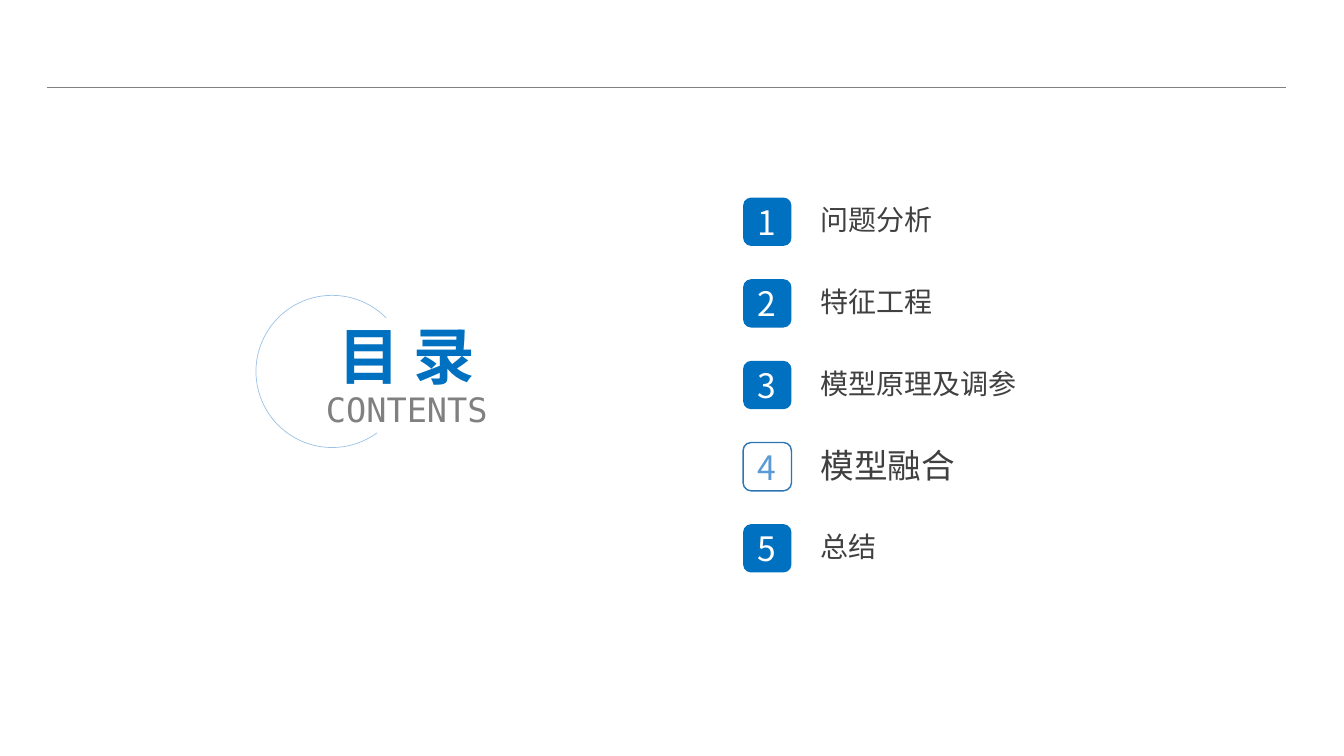
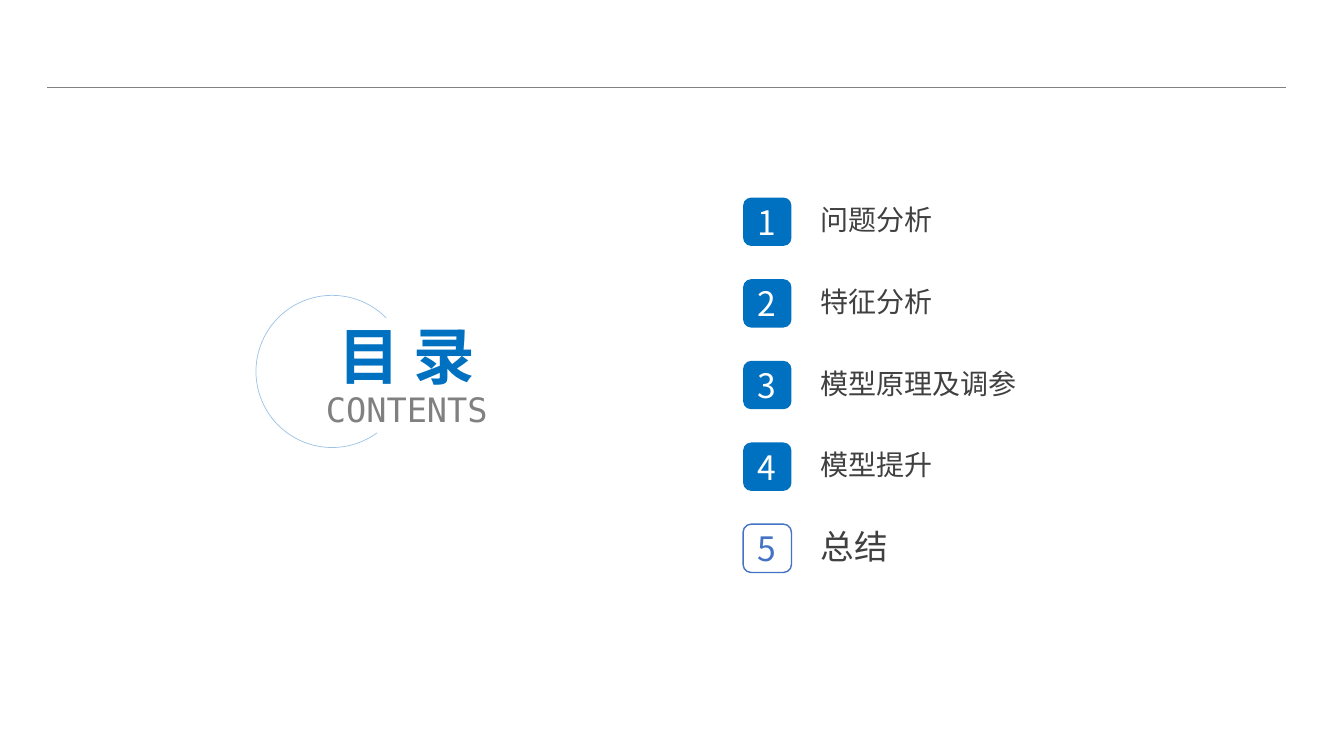
from lxml import etree
from pptx import Presentation
from pptx.dml.color import RGBColor
from pptx.enum.shapes import MSO_CONNECTOR, MSO_SHAPE
from pptx.enum.text import MSO_ANCHOR, PP_ALIGN
from pptx.oxml.ns import qn
from pptx.util import Inches, Pt

STRAIGHT = MSO_CONNECTOR.STRAIGHT
ROUNDED, ARC = MSO_SHAPE.ROUNDED_RECTANGLE, MSO_SHAPE.ARC
LEFT, CENTER, MIDDLE = PP_ALIGN.LEFT, PP_ALIGN.CENTER, MSO_ANCHOR.MIDDLE
SANS, TITLE_FONT, MONO = "Noto Sans CJK SC", "Calibri", "DejaVu Sans Mono"

COLORS = {
    "blue": "0070C0",
    "white": "FFFFFF",
    "text": "404040",
    "gray": "808080",
    "arc": "9DC3E6",
    "steel": "2E75B6",
    "sky": "5B9BD5",
    "indigo": "4472C4",
}

AGENDAS = [
    {"topics": ["问题分析", "特征工程", "模型原理及调参", "模型融合", "总结"],
     "current": 4, "border": "steel", "digit": "sky"},
    {"topics": ["问题分析", "特征分析", "模型原理及调参", "模型提升", "总结"],
     "current": 5, "border": "indigo", "digit": "indigo"},
]

deck = Presentation()
deck.slide_width, deck.slide_height = Inches(13.33), Inches(7.5)
BLANK = deck.slide_layouts[6]


def grid(left, top, width, height):
    column, row = deck.slide_width / 100, deck.slide_height / 100
    return [round(left * column), round(top * row),
            round(width * column), round(height * row)]


def write(shape, text, size, color, font=SANS, bold=False, align=LEFT,
          spacing=None, new_paragraph=False):
    frame = shape.text_frame
    frame.word_wrap = True
    frame.vertical_anchor = MIDDLE
    para = frame.add_paragraph() if new_paragraph else frame.paragraphs[0]
    para.alignment = align
    para.line_spacing = spacing
    span = para.add_run()
    span.text = text
    span.font.name = font
    span.font.size = Pt(size)
    span.font.bold = bold
    span.font.color.rgb = RGBColor.from_string(COLORS[color])
    east_asian = etree.SubElement(span.font._element, qn("a:ea"))
    east_asian.set("typeface", SANS)


TILE_LEFT, TILE_WIDTH, TILE_HEIGHT = 55.29, 3.6, 6.4
LABEL_LEFT, LABEL_WIDTH, LABEL_HEIGHT, LABEL_LIFT = 60.32, 17.1, 7.2, 0.67
FIRST_TOP, PITCH = 26.13, 10.8
HEADING_TOP = 39.07

for agenda in AGENDAS:
    page = deck.slides.add_slide(BLANK)

    left, top, width, height = grid(3.53, 11.6, 92.12, 0)
    rule = page.shapes.add_connector(STRAIGHT, left, top, left + width, top)
    rule.line.color.rgb = RGBColor.from_string(COLORS["gray"])
    rule.line.width = Pt(0.5)
    etree.SubElement(rule._element.spPr, qn("a:effectLst"))

    heading = page.shapes.add_textbox(*grid(21.38, HEADING_TOP, 17.78, 21.87))
    write(heading, "目 录", 44, "blue", font=TITLE_FONT, bold=True,
          align=CENTER, spacing=0.9)
    write(heading, "CONTENTS", 24, "gray", font=MONO,
          align=CENTER, spacing=0.9, new_paragraph=True)

    arc = page.shapes.add_shape(ARC, *grid(19.05, HEADING_TOP, 11.33, 20.13))
    arc.shadow.inherit = False
    arc.adjustments[0], arc.adjustments[1] = 32.25, 189.11
    arc.fill.background()
    arc.line.color.rgb = RGBColor.from_string(COLORS["arc"])
    arc.line.width = Pt(0.5)

    for number, topic in enumerate(agenda["topics"], start=1):
        current = number == agenda["current"]
        row_top = FIRST_TOP + (number - 1) * PITCH

        tile = page.shapes.add_shape(
            ROUNDED, *grid(TILE_LEFT, row_top, TILE_WIDTH, TILE_HEIGHT))
        tile.shadow.inherit = False
        tile.fill.solid()
        tile.fill.fore_color.rgb = RGBColor.from_string(
            COLORS["white" if current else "blue"])
        if current:
            tile.line.color.rgb = RGBColor.from_string(COLORS[agenda["border"]])
            tile.line.width = Pt(1)
        else:
            tile.line.fill.background()
        write(tile, str(number), 24, agenda["digit"] if current else "white",
              align=CENTER)

        label = page.shapes.add_textbox(
            *grid(LABEL_LEFT, row_top - LABEL_LIFT, LABEL_WIDTH, LABEL_HEIGHT))
        write(label, topic, 24 if current else 20, "text")

deck.save("out.pptx")
